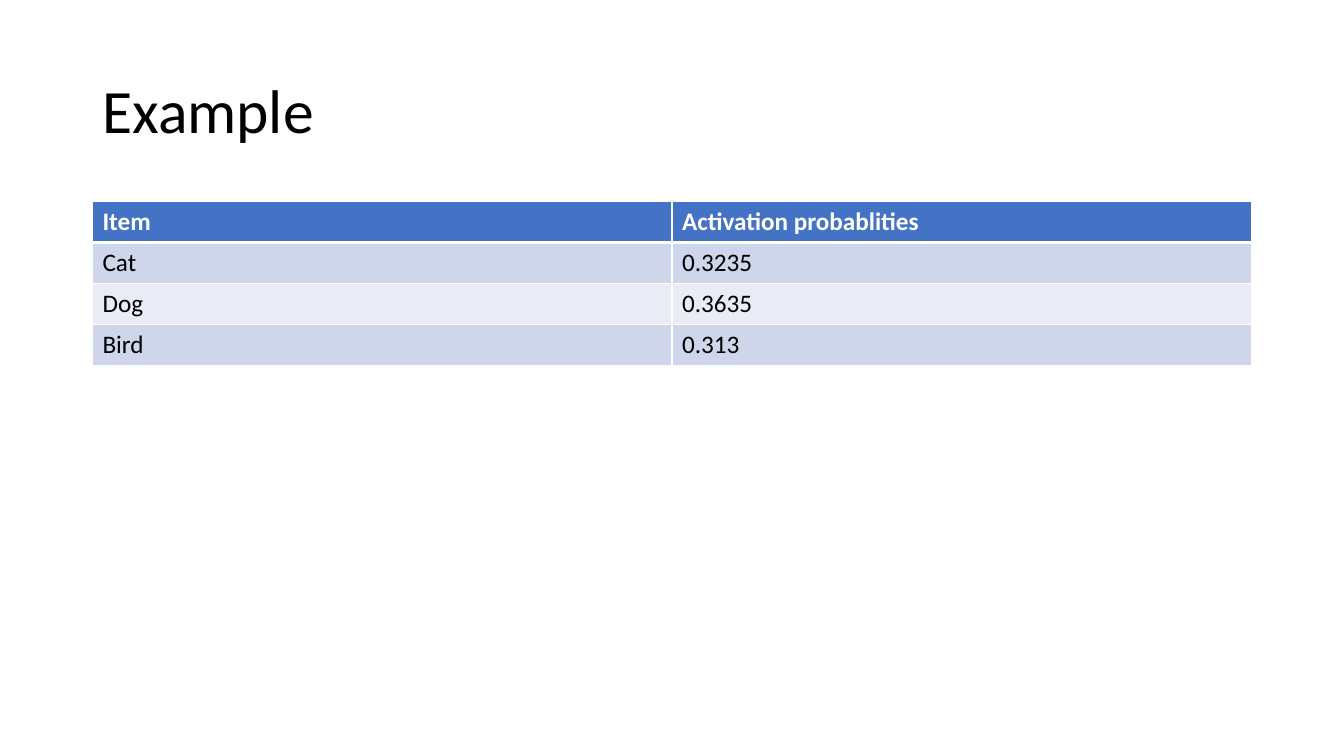
from dataclasses import dataclass

from lxml import etree
from pptx import Presentation
from pptx import util as u
from pptx.dml.color import RGBColor
from pptx.enum import text
from pptx.oxml import ns


@dataclass(frozen=True)
class Theme:
    font: str = "Calibri"
    title_size: int = 44
    cell_size: int = 18
    dark: str = "000000"
    light: str = "FFFFFF"
    header_fill: str = "4472C4"
    bands: tuple[str, str] = ("CFD5EA", "E9EBF5")
    border: float = 1
    header_border: float = 3


@dataclass(frozen=True)
class Row:
    item: str
    probability: str


THEME = Theme()
HEADER = Row("Item", "Activation probablities")
ROWS = [Row("Cat", "0.3235"), Row("Dog", "0.3635"), Row("Bird", "0.313")]
LEFT, WIDTH = u.Cm(2.33), u.Cm(29.21)
ROW_HEIGHT = u.Cm(1.03)


def add_run(p, content: str, size: int, color: str, bold: bool = False) -> None:
    r = p.add_run()
    r.text = content
    r.font.name = THEME.font
    r.font.size = u.Pt(size)
    r.font.bold = bold
    r.font.color.rgb = RGBColor.from_string(color)


def set_borders(cell, top: float, bottom: float) -> None:
    """Border lines come before the fill in the cell properties."""
    tc_pr = cell._tc.get_or_add_tcPr()
    widths = {"L": THEME.border, "R": THEME.border, "T": top, "B": bottom}
    for i, (side, width) in enumerate(widths.items()):
        ln = etree.Element(ns.qn(f"a:ln{side}"), w=str(u.Pt(width)))
        fill = etree.SubElement(ln, ns.qn("a:solidFill"))
        etree.SubElement(fill, ns.qn("a:srgbClr"), val=THEME.light)
        tc_pr.insert(i, ln)


def add_title(s, content: str) -> None:
    sp = s.shapes.add_textbox(LEFT, u.Cm(1.01), WIDTH, u.Cm(3.68))
    tf = sp.text_frame
    tf.word_wrap = True
    tf.vertical_anchor = text.MSO_ANCHOR.MIDDLE
    p = tf.paragraphs[0]
    p.line_spacing = 0.9
    add_run(p, content, THEME.title_size, THEME.dark)


def add_probability_table(s, rows: list[Row]) -> None:
    table = s.shapes.add_table(len(rows), 2, LEFT, u.Cm(5.08), WIDTH,
                               ROW_HEIGHT * len(rows)).table
    for i, row in enumerate(rows):
        header = i == 0
        fill = THEME.header_fill if header else THEME.bands[(i - 1) % 2]
        color = THEME.light if header else THEME.dark
        top = THEME.header_border if i == 1 else THEME.border
        bottom = THEME.header_border if header else THEME.border
        for j, content in enumerate((row.item, row.probability)):
            cell = table.cell(i, j)
            cell.fill.solid()
            cell.fill.fore_color.rgb = RGBColor.from_string(fill)
            set_borders(cell, top, bottom)
            add_run(cell.text_frame.paragraphs[0], content,
                    THEME.cell_size, color, header)


def main() -> None:
    prs = Presentation()
    prs.slide_width, prs.slide_height = u.Cm(33.87), u.Cm(19.05)
    s = prs.slides.add_slide(prs.slide_layouts[6])

    # Title
    add_title(s, "Example")

    # Table of items and probabilities
    add_probability_table(s, [HEADER, *ROWS])

    prs.save("out.pptx")


if __name__ == "__main__":
    main()
